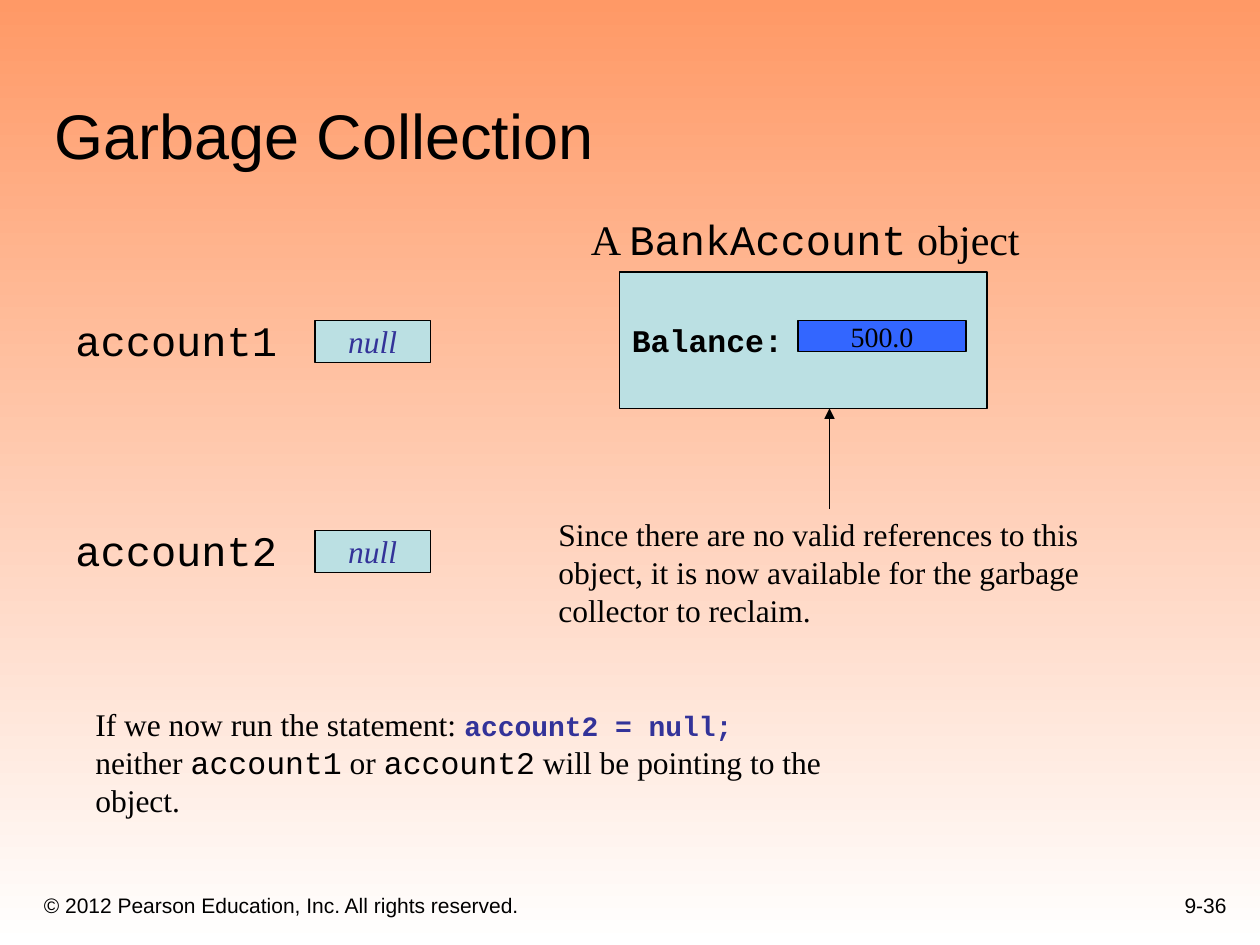
from lxml.etree import SubElement
from pptx import Presentation
from pptx.dml.color import RGBColor
from pptx.enum.shapes import MSO_CONNECTOR, MSO_SHAPE
from pptx.enum.text import MSO_ANCHOR, PP_ALIGN
from pptx.oxml.ns import qn
from pptx.util import Inches, Pt

BLACK = RGBColor(0x00, 0x00, 0x00)
WHITE = RGBColor(0xFF, 0xFF, 0xFF)
ORANGE = RGBColor(0xFF, 0x99, 0x66)
PALE = RGBColor(0xBB, 0xE0, 0xE3)
BLUE = RGBColor(0x33, 0x66, 0xFF)
NAVY = RGBColor(0x33, 0x33, 0x99)
SANS, SERIF, MONO = "Arial", "Times New Roman", "Courier New"

deck = Presentation()
deck.slide_width, deck.slide_height = Inches(10), Inches(7.5)
slide = deck.slides.add_slide(deck.slide_layouts[6])
shapes = slide.shapes
UNIT = deck.slide_width / 120  # grid of 120 columns by 90 rows


def write(shape, lines, size, align=PP_ALIGN.LEFT, anchor=MSO_ANCHOR.TOP, wrap=True):
    """Each line is a list of runs: (text, font, then any changed font settings)."""
    frame = shape.text_frame
    frame.word_wrap, frame.vertical_anchor = wrap, anchor
    for i, line in enumerate(lines):
        para = frame.add_paragraph() if i else frame.paragraphs[0]
        para.alignment = align
        for text, face, *extra in line:
            run = para.add_run()
            run.text = text
            font = run.font
            font.name, font.size, font.color.rgb = face, Pt(size), BLACK
            for look in extra:
                font.size = Pt(look.get("size", size))
                font.color.rgb = look.get("color", BLACK)
                font.bold, font.italic = look.get("bold"), look.get("italic")
    return shape


def place(col, row, wide, high, fill=None):
    """Add a text box, or an outlined rectangle when a fill is given."""
    area = [int(n * UNIT) for n in (col, row, wide, high)]
    if fill is None:
        return shapes.add_textbox(*area)
    box = shapes.add_shape(MSO_SHAPE.RECTANGLE, *area)
    box.shadow.inherit = False
    box.fill.solid()
    box.fill.fore_color.rgb = fill
    box.line.color.rgb, box.line.width = BLACK, Pt(0.75)
    return box


# Background
back = slide.background.fill
back.gradient()
back.gradient_angle = 270
for stop, color, spot in zip(back.gradient_stops, (ORANGE, WHITE), (0, 1)):
    stop.color.rgb, stop.position = color, spot

# Title and footer
low = MSO_ANCHOR.BOTTOM
write(place(4, 4, 113, 13), [[("Garbage Collection", SANS)]], 36, anchor=low)
write(place(3, 83, 73, 5),
      [[("© 2012 Pearson Education, Inc. All rights reserved.", SANS)]], 12, anchor=low)
write(place(93, 82, 25, 6), [[("9-36", SANS)]], 12, PP_ALIGN.RIGHT, low)

# Variables
mid = MSO_ANCHOR.MIDDLE
for i, name in enumerate(("account1", "account2")):
    row = 30.5 + 20 * i
    write(place(6, row - 1.1, 22, 6), [[(name, MONO)]], 24)
    write(place(30, row, 11, 4, PALE),
          [[("null", SERIF, {"color": NAVY, "italic": True})]],
          18, PP_ALIGN.CENTER, mid, False)

# Object
write(place(55.1, 19.7, 43.4, 6),
      [[("A ", SERIF), ("BankAccount", MONO), (" object", SERIF)]], 24, wrap=False)
write(place(59, 25.9, 35, 13, PALE),
      [[("Balance:", MONO, {"bold": True})]], 18, anchor=mid, wrap=False)
write(place(76, 30.5, 16, 3, BLUE),
      [[("500.0", SERIF)]], 16, PP_ALIGN.CENTER, mid, False)

# Note with its arrow up to the object
note = write(place(52, 48.5, 54, 12), [
    [("Since there are no valid references to this", SERIF)],
    [("object, it is now available for the garbage", SERIF)],
    [("collector to reclaim.", SERIF)]], 18)
arrow = shapes.add_connector(MSO_CONNECTOR.STRAIGHT, int(79 * UNIT), int(48.5 * UNIT),
                             int(79 * UNIT), int(38.9 * UNIT))
arrow.begin_connect(note, 0)
arrow.line.color.rgb, arrow.line.width = BLACK, Pt(0.75)
SubElement(arrow.line._get_or_add_ln(), qn("a:tailEnd"), type="triangle")
SubElement(arrow._element.spPr, qn("a:effectLst"))

# Statement
write(place(7.9, 66.6, 80.3, 8.4), [
    [("If we now run the statement: ", SERIF),
     ("account2 = null;", MONO, {"size": 16, "color": NAVY, "bold": True})],
    [("neither ", SERIF), ("account1", MONO), (" or ", SERIF), ("account2", MONO),
     (" will be pointing to the object.", SERIF)]], 18)

deck.save("out.pptx")
